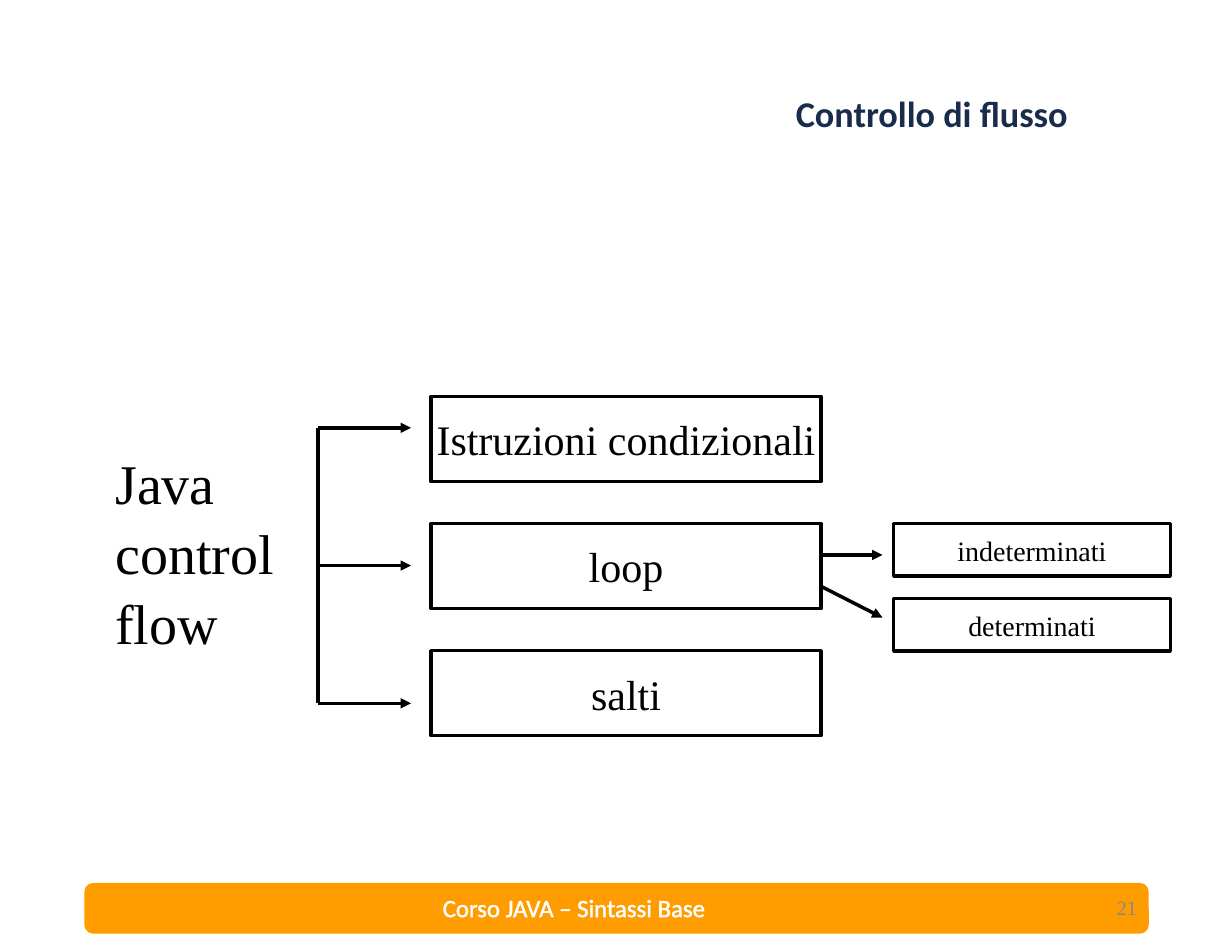
import pptx
import pptx.dml.color
import pptx.enum.shapes
import pptx.enum.text
import pptx.oxml
import pptx.oxml.ns
import pptx.util
import lxml.etree

WIDTH, HEIGHT = 11, 8.5
BLACK, WHITE = "000000", "FFFFFF"
SERIF, SANS = "Times New Roman", "Calibri"
SHAPES = pptx.enum.shapes.MSO_SHAPE
ALIGN = pptx.enum.text.PP_ALIGN
ANCHOR = pptx.enum.text.MSO_ANCHOR

BRANCH_LEFT, BRANCH_TOP, BRANCH_STEP = 3.85, 3.54, 1.135
BRANCH_WIDTH, BRANCH_HEIGHT = 3.48, 0.76
LEAF_LEFT, LEAF_STEP = 7.98, 0.67
LEAF_WIDTH, LEAF_HEIGHT = 2.47, 0.47
TRUNK_X, TRUNK_TOP, TRUNK_STEP = 2.84, 3.82, 1.23
BRANCHES = ["Istruzioni condizionali", "loop", "salti"]
LEAVES = ["indeterminati", "determinati"]


def color(hex_value):
    """Return the RGB colour for a hex string."""
    return pptx.dml.color.RGBColor.from_string(hex_value)


def inches(*values):
    """Convert lengths in inches to slide units."""
    return [pptx.util.Inches(value) for value in values]


def apply_format(target, values):
    """Set every attribute named in a dict of format values."""
    for name, value in values.items():
        setattr(target, name, value)


def add_element(parent, tag, **attributes):
    """Append a drawing element with attributes to a parent."""
    element = lxml.etree.SubElement(parent, pptx.oxml.ns.qn(tag))
    for name, value in attributes.items():
        element.set(name, value)
    return element


def outline_text(run, hex_value):
    """Draw a thin line around the letters of a run."""
    line = pptx.oxml.parse_xml(
        f'<a:ln {pptx.oxml.ns.nsdecls("a")} w="10160"><a:solidFill>'
        f'<a:srgbClr val="{hex_value}"/></a:solidFill></a:ln>')
    run.font._element.insert(0, line)


def write_text(shape, text, size, font=SERIF, ink=BLACK, bold=False,
               align=ALIGN.CENTER, anchor=ANCHOR.MIDDLE, wrap=True,
               spacing=1.0, margins=(0.1, 0.05)):
    """Fill a shape with one formatted paragraph and return its run."""
    side, edge = inches(*margins)
    frame = shape.text_frame
    apply_format(frame, {
        "word_wrap": wrap, "vertical_anchor": anchor,
        "margin_left": side, "margin_right": side,
        "margin_top": edge, "margin_bottom": edge})
    paragraph = frame.paragraphs[0]
    apply_format(paragraph, {"alignment": align, "line_spacing": spacing})
    run = paragraph.add_run()
    run.text = text
    apply_format(run.font, {
        "size": pptx.util.Pt(size), "name": font, "bold": bold})
    run.font.color.rgb = color(ink)
    return run


def add_label(slide, place, text, size, **style):
    """Add a text box and return its run."""
    shape = slide.shapes.add_textbox(*inches(*place))
    return write_text(shape, text, size, **style)


def add_box(slide, place, text, size):
    """Add an unfilled black frame with centred text."""
    shape = slide.shapes.add_shape(SHAPES.RECTANGLE, *inches(*place))
    shape.shadow.inherit = False
    shape.fill.background()
    shape.line.color.rgb = color(BLACK)
    shape.line.width = pptx.util.Pt(2.25)
    write_text(shape, text, size, wrap=False, margins=(0.11, 0.06))


def add_line(slide, start, end, arrow=True):
    """Add a straight black connector, with an arrowhead if wanted."""
    connector = slide.shapes.add_connector(
        pptx.enum.shapes.MSO_CONNECTOR.STRAIGHT, *inches(*start, *end))
    connector.line.color.rgb = color(BLACK)
    connector.line.width = pptx.util.Pt(2.25)
    if arrow:
        add_element(connector.line._get_or_add_ln(), "a:tailEnd", type="triangle")
    add_element(connector._element.spPr, "a:effectLst")


def add_footer(slide):
    """Add the orange bar with the course name and slide number."""
    bar = slide.shapes.add_shape(
        SHAPES.ROUNDED_RECTANGLE, *inches(0.76, 7.89, 9.49, 0.44))
    bar.shadow.inherit = False
    bar.fill.solid()
    bar.fill.fore_color.rgb = color("FF9C00")
    bar.line.color.rgb = color("FF9C00")
    bar.line.width = pptx.util.Pt(1)
    number = add_label(slide, (7.77, 7.88, 2.48, 0.45), "21", 13,
                       ink="898989", align=ALIGN.RIGHT)
    course = add_label(slide, (2.39, 7.91, 5.47, 0.38),
                       "Corso JAVA – Sintassi Base", 16, font=SANS, ink=WHITE)
    for run in (number, course):
        outline_text(run, WHITE)


def add_branches(slide):
    """Add the trunk with an arrow and a box for each kind of statement."""
    trunk_end = TRUNK_TOP + (len(BRANCHES) - 1) * TRUNK_STEP
    add_line(slide, (TRUNK_X, TRUNK_TOP), (TRUNK_X, trunk_end), arrow=False)
    for row, text in enumerate(BRANCHES):
        top = BRANCH_TOP + row * BRANCH_STEP
        add_box(slide, (BRANCH_LEFT, top, BRANCH_WIDTH, BRANCH_HEIGHT), text, 27)
        arrow_y = TRUNK_TOP + row * TRUNK_STEP
        add_line(slide, (TRUNK_X, arrow_y), (TRUNK_X + 0.83, arrow_y))


def add_leaves(slide):
    """Add the kinds of loop beside the loop box."""
    loop_top = BRANCH_TOP + BRANCH_STEP
    loop_right = BRANCH_LEFT + BRANCH_WIDTH
    for row, text in enumerate(LEAVES):
        top = loop_top + row * LEAF_STEP
        add_box(slide, (LEAF_LEFT, top, LEAF_WIDTH, LEAF_HEIGHT), text, 18)
        start_y = loop_top + 0.28 * (row + 1)
        end_y = loop_top + 0.28 * (2 * row + 1)
        add_line(slide, (loop_right, start_y), (LEAF_LEFT - 0.1, end_y))


def main():
    """Build the control flow slide and save it."""
    presentation = pptx.Presentation()
    presentation.slide_width, presentation.slide_height = inches(WIDTH, HEIGHT)
    slide = presentation.slides.add_slide(presentation.slide_layouts[6])
    add_footer(slide)
    add_label(slide, (6.19, 0.24, 4.26, 1.58), "Controllo di flusso", 23.3,
              font=SANS, ink="1A2C4B", bold=True, spacing=0.9)
    add_label(slide, (0.92, 3.92, 2.11, 1.91), "Java control flow", 36,
              align=ALIGN.LEFT, anchor=ANCHOR.TOP, spacing=1.04,
              margins=(0.11, 0.06))
    add_branches(slide)
    add_leaves(slide)
    presentation.save("out.pptx")


if __name__ == "__main__":
    main()
